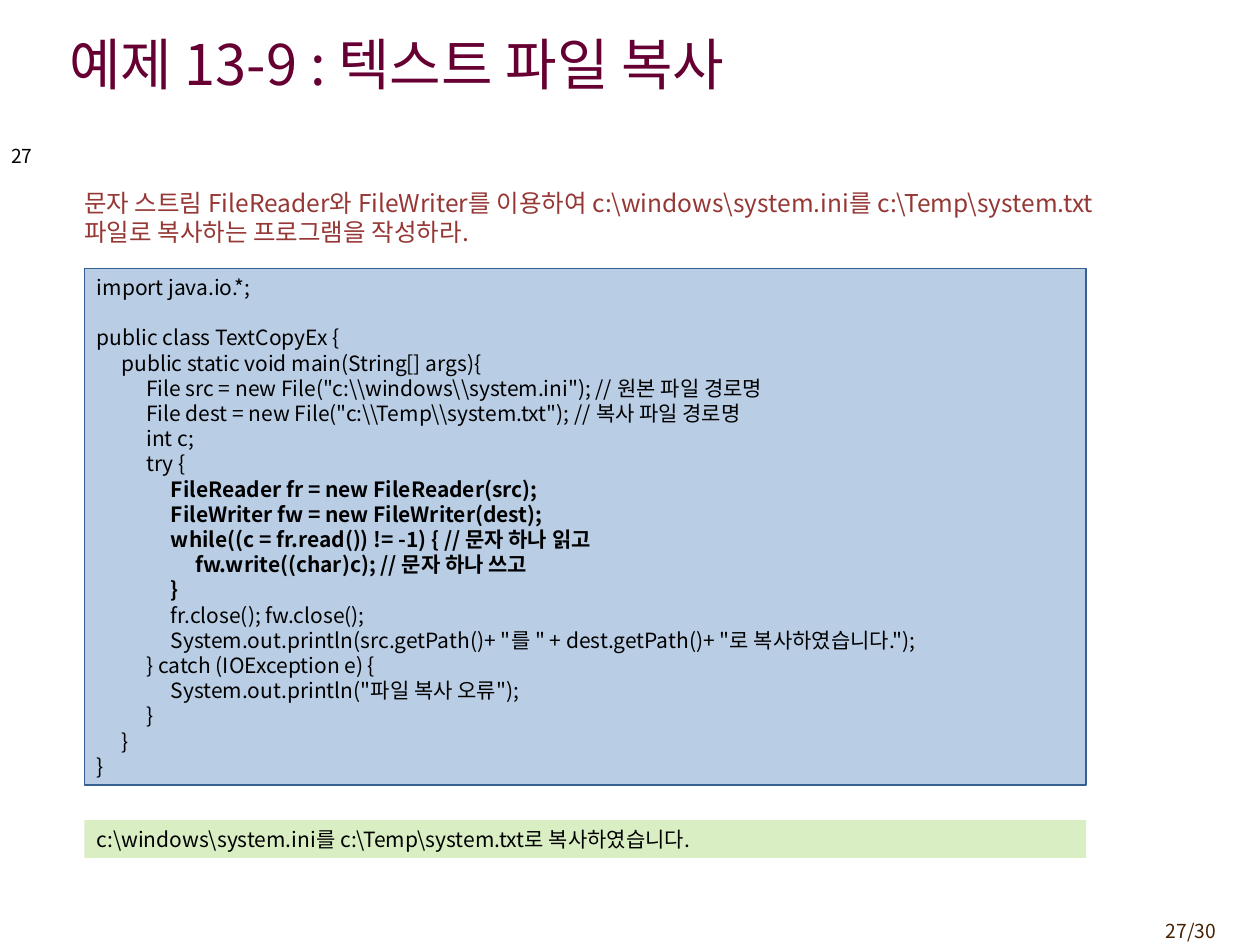
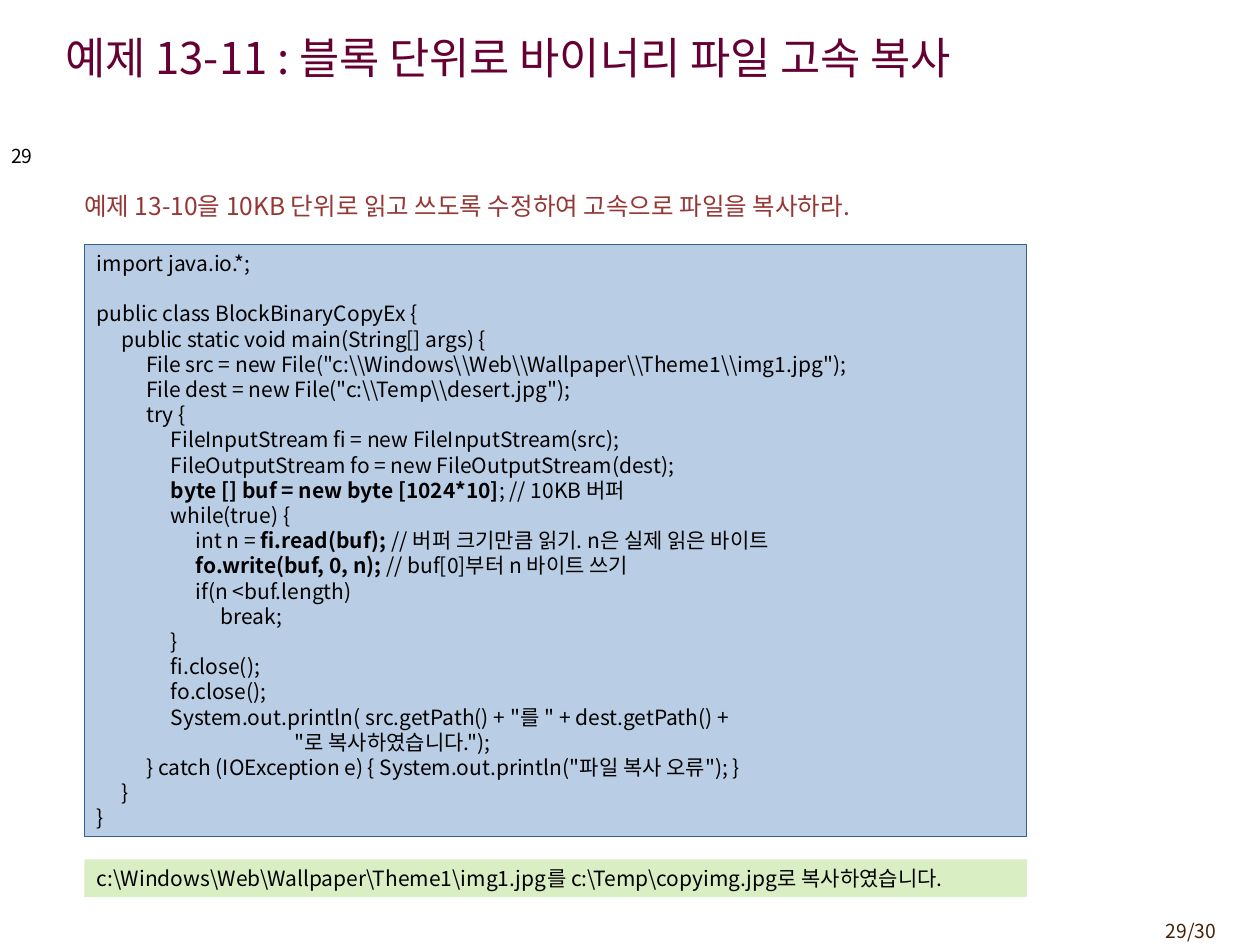
"""Builds two slides of worked file-copy examples in Java."""
from lxml import etree
from pptx import Presentation, util as u
from pptx.dml.color import RGBColor
from pptx.enum import shapes, text
from pptx.oxml.ns import qn

FONT = "Noto Sans CJK KR"
PLUM = RGBColor(0x66, 0x00, 0x33)
BRICK = RGBColor(0x95, 0x37, 0x35)
BROWN = RGBColor(0x45, 0x21, 0x03)
BLACK = RGBColor(0x00, 0x00, 0x00)
BLUE = RGBColor(0xB9, 0xCD, 0xE5)
NAVY = RGBColor(0x37, 0x60, 0x92)
GREEN = RGBColor(0xDA, 0xEE, 0xC4)

LEFT, TOTAL, LEAD = 0.67, 30, 1.2
TABS = [1.57 * i / 8 for i in range(1, 9)]
BOLD = "|"

TEXT_COPY = [
    (0, "import java.io.*;"),
    (0, ""),
    (0, "public class TextCopyEx {"),
    (1, "public static void main(String[] args){"),
    (2, r'File src = new File("c:\\windows\\system.ini"); // 원본 파일 경로명'),
    (2, r'File dest = new File("c:\\Temp\\system.txt"); // 복사 파일 경로명'),
    (2, "int c;"),
    (2, "try {"),
    (3, "|FileReader fr = new FileReader(src);|"),
    (3, "|FileWriter fw = new FileWriter(dest);|"),
    (3, "|while((c = fr.read()) != -1) { // 문자 하나 읽고|"),
    (4, "|fw.write((char)c); // 문자 하나 쓰고|"),
    (3, "|}|"),
    (3, "fr.close(); fw.close();"),
    (3, 'System.out.println(src.getPath()+ "를 " + dest.getPath()+ "로 복사하였습니다.");'),
    (2, "} catch (IOException e) {"),
    (3, 'System.out.println("파일 복사 오류");'),
    (2, "}"),
    (1, "}"),
    (0, "}"),
]

BLOCK_COPY = [
    (0, "import java.io.*;"),
    (0, ""),
    (0, "public class BlockBinaryCopyEx {"),
    (1, "public static void main(String[] args) {"),
    (2, r'File src = new File("c:\\Windows\\Web\\Wallpaper\\Theme1\\img1.jpg");'),
    (2, r'File dest = new File("c:\\Temp\\desert.jpg");'),
    (2, "try {"),
    (3, "FileInputStream fi = new FileInputStream(src);"),
    (3, "FileOutputStream fo = new FileOutputStream(dest);"),
    (3, "|byte [] buf = new byte [1024*10]|; // 10KB 버퍼"),
    (3, "while(true) {"),
    (4, "int n = |fi.read(buf); |// 버퍼 크기만큼 읽기. n은 실제 읽은 바이트"),
    (4, "|fo.write(buf, 0, n); |// buf[0]부터 n 바이트 쓰기"),
    (4, "if(n <buf.length)"),
    (5, "break;"),
    (3, "}"),
    (3, "fi.close();"),
    (3, "fo.close();"),
    (3, 'System.out.println( src.getPath() + "를 " + dest.getPath() +'),
    (8, '"로 복사하였습니다.");'),
    (2, '} catch (IOException e) { System.out.println("파일 복사 오류"); }'),
    (1, "}"),
    (0, "}"),
]

PAGES = [
    dict(num=27, title="예제 13-9 : 텍스트 파일 복사", size=32, head=(0.45, 0.13),
         task=r"문자 스트림 FileReader와 FileWriter를 이용하여 c:\windows\system.ini를 "
              r"c:\Temp\system.txt 파일로 복사하는 프로그램을 작성하라.",
         ask=(1.44, 8.68, 0.57), code=TEXT_COPY, wide=7.95, top=2.13, tall=4.1,
         out=r"c:\windows\system.ini를 c:\Temp\system.txt로 복사하였습니다.", base=6.51),
    dict(num=29, title="예제 13-11 : 블록 단위로 바이너리 파일 고속 복사", size=25, head=(0.42, 0.08),
         task="예제 13-10을 10KB 단위로 읽고 쓰도록 수정하여 고속으로 파일을 복사하라.",
         ask=(1.47, 8.19, 0.34), code=BLOCK_COPY, wide=7.48, top=1.94, tall=4.7,
         out=r"c:\Windows\Web\Wallpaper\Theme1\img1.jpg를 c:\Temp\copyimg.jpg로 복사하였습니다.",
         base=6.82),
]


def style(run, size, color, bold=False):
    font = run.font
    font.name, font.size, font.bold = FONT, u.Pt(size), bold
    font.color.rgb = color
    etree.SubElement(run._r.get_or_add_rPr(), qn("a:ea")).set("typeface", FONT)


def set_tabs(para):
    tabs = etree.SubElement(para._p.get_or_add_pPr(), qn("a:tabLst"))
    for stop in TABS:
        etree.SubElement(tabs, qn("a:tab"), pos=str(u.Inches(stop)), algn="l")


def fill_text(shape, lines, size, color, lead=LEAD, right=False, mid=False):
    frame = shape.text_frame
    frame.word_wrap = True
    frame.auto_size = text.MSO_AUTO_SIZE.NONE
    frame.vertical_anchor = text.MSO_ANCHOR.MIDDLE if mid else text.MSO_ANCHOR.TOP
    for row, (depth, line) in enumerate(lines):
        para = frame.add_paragraph() if row else frame.paragraphs[0]
        para.alignment = text.PP_ALIGN.RIGHT if right else text.PP_ALIGN.LEFT
        if depth:
            set_tabs(para)
        para.line_spacing = u.Pt(size * lead)
        para.font.size = u.Pt(size)
        for part, piece in enumerate(("\t" * depth + line).split(BOLD)):
            if piece:
                run = para.add_run()
                run.text = piece
                style(run, size, color, bold=part % 2 == 1)


def add_label(slide, box, words, size, color, **looks):
    shape = slide.shapes.add_textbox(*map(u.Inches, box))
    fill_text(shape, [(0, words)], size, color, **looks)


def add_panel(slide, box, lines, fill, edge=None):
    shape = slide.shapes.add_shape(shapes.MSO_SHAPE.RECTANGLE, *map(u.Inches, box))
    shape.shadow.inherit = False
    shape.fill.solid()
    shape.fill.fore_color.rgb = fill
    if edge is None:
        shape.line.fill.background()
    else:
        shape.line.color.rgb = edge
        shape.line.width = u.Pt(0.75)
    fill_text(shape, lines, 12, BLACK)


def add_page(deck, page):
    slide = deck.slides.add_slide(deck.slide_layouts[6])
    num, wide = page["num"], page["wide"]
    top, span, deep = page["ask"]
    add_label(slide, (8.92, 7.25, 0.83, 0.29), f"{num}/{TOTAL}", 11, BROWN, right=True)
    add_label(slide, (*page["head"], 8.92, 0.74), page["title"], page["size"], PLUM, mid=True)
    add_label(slide, (-0.01, 1.13, 0.58, 0.27), str(num), 11, BLACK, lead=0.96)
    add_label(slide, (LEFT - 0.1, top, span, deep), page["task"], 14, BRICK)
    add_panel(slide, (LEFT, page["top"], wide, page["tall"]), page["code"], BLUE, NAVY)
    add_panel(slide, (LEFT, page["base"], wide, 0.3), [(0, page["out"])], GREEN)


def main():
    deck = Presentation()
    deck.slide_width, deck.slide_height = u.Inches(10), u.Inches(7.5)
    for page in PAGES:
        add_page(deck, page)
    deck.save("out.pptx")


if __name__ == "__main__":
    main()
